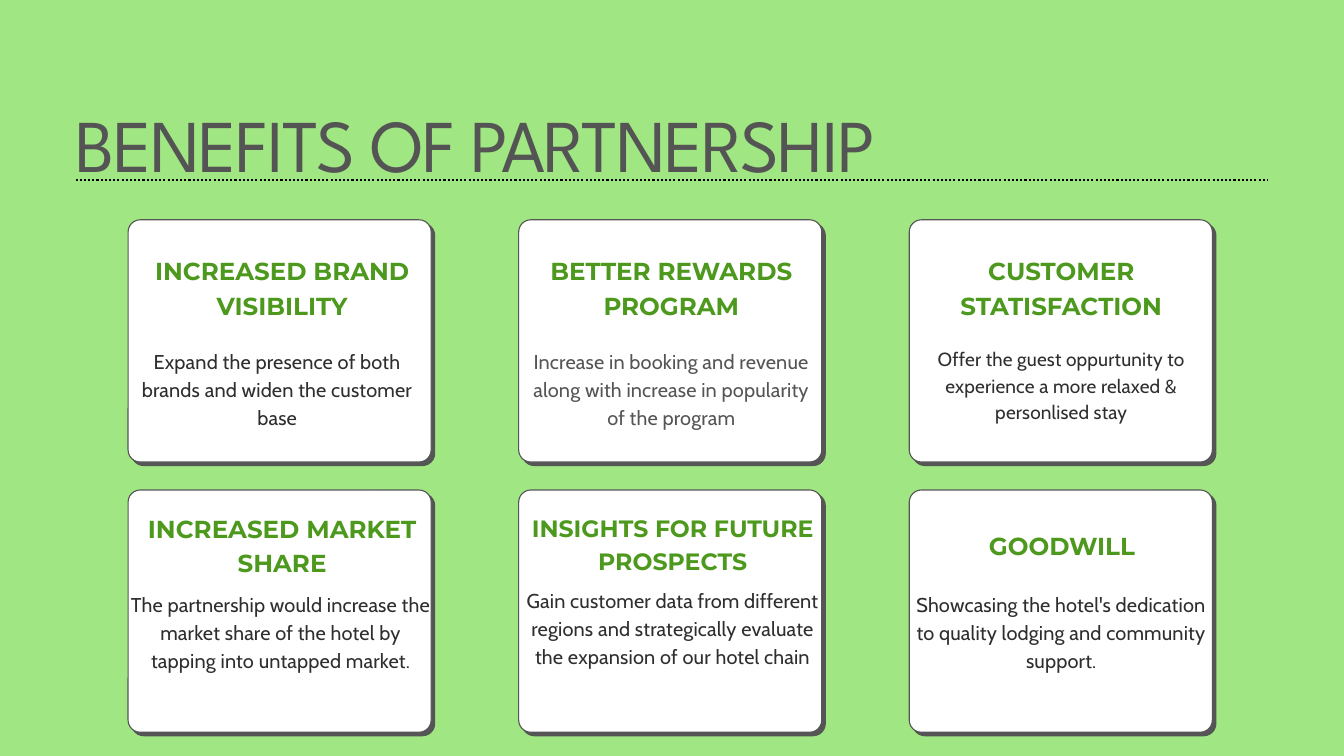
from lxml import etree
from pptx import Presentation
from pptx.dml.color import RGBColor
from pptx.enum.dml import MSO_LINE
from pptx.enum.shapes import MSO_CONNECTOR, MSO_SHAPE
from pptx.enum.text import MSO_AUTO_SIZE, PP_ALIGN
from pptx.oxml.ns import qn
from pptx.util import Pt

PX = 9525
LEFT, CENTER = PP_ALIGN.LEFT, PP_ALIGN.CENTER
ROUND = MSO_SHAPE.ROUNDED_RECTANGLE
COLORS = {
    "back": "A0E683", "card": "FFFFFF", "edge": "555555", "rule": "000000",
    "title": "545454", "head": "4D991D", "dark": "2E2E2E", "gray": "555555",
}


def color(name):
    return RGBColor.from_string(COLORS[name])


def add_text(text, box, size, lead, face, tint, align=CENTER, bold=False, gap=0):
    """Add a text box; lead is the line pitch in points, gap the letter spacing in 1/100 pt."""
    shape = slide.shapes.add_textbox(*(n * PX for n in box))
    frame = shape.text_frame
    frame.word_wrap = True
    frame.auto_size = MSO_AUTO_SIZE.SHAPE_TO_FIT_TEXT
    frame.margin_left = frame.margin_right = 0
    frame.margin_top = frame.margin_bottom = 0
    para = frame.paragraphs[0]
    para.alignment = align
    para.line_spacing = Pt(lead)
    run = para.add_run()
    run.text = text
    if gap:
        run._r.get_or_add_rPr().set("spc", str(gap))
    font = para.font
    font.name, font.size, font.bold = face, Pt(size), bold
    font.color.rgb = color(tint)


deck = Presentation()
deck.slide_width, deck.slide_height = 1920 * PX, 1080 * PX
slide = deck.slides.add_slide(deck.slide_layouts[6])
slide.background.fill.solid()
slide.background.fill.fore_color.rgb = color("back")

# Title and dotted rule
add_text("BENEFITS OF PARTNERSHIP", (108, 150, 1460, 120), 79.8, 87.8,
         "League Spartan", "title", LEFT, gap=-200)
rule = slide.shapes.add_connector(
    MSO_CONNECTOR.STRAIGHT, 108 * PX, 257 * PX, 1812 * PX, 257 * PX)
rule.line.color.rgb = color("rule")
rule.line.width = Pt(2.25)
rule.line.dash_style = MSO_LINE.ROUND_DOT
etree.SubElement(rule._element.spPr, qn("a:effectLst"))

# Heading: text, left, top, size, lead
# Body: text, left, top, width, size, lead, colour
CARDS = [
    (("INCREASED BRAND VISIBILITY", 184, 359, 26.3, 36.8),
     ("Expand the presence of both brands and widen the customer base",
      184, 493, 424, 21.4, 30, "dark")),
    (("BETTER REWARDS PROGRAM", 740, 359, 26.3, 36.8),
     ("Increase in booking and revenue along with increase in popularity "
      "of the program", 751, 493, 416, 21.4, 30, "gray")),
    (("CUSTOMER STATISFACTION", 1297, 359, 26.3, 36.8),
     ("Offer the guest oppurtunity to experience a more relaxed & "
      "personlised stay", 1297, 491, 438, 20.4, 28.6, "dark")),
    (("INCREASED MARKET SHARE", 184, 727, 26.3, 36.8),
     ("The partnership would increase the market share of the hotel by "
      "tapping into untapped market.", 182, 841, 438, 21.4, 30, "dark")),
    (("INSIGHTS FOR FUTURE PROSPECTS", 742, 728, 25.3, 35.4),
     ("Gain customer data from different regions and strategically evaluate "
      "the expansion of our hotel chain", 742, 835, 438, 21.4, 30, "dark")),
    (("GOODWILL", 1298, 751, 26.3, 36.8),
     ("Showcasing the hotel's dedication to quality lodging and community "
      "support.", 1297, 841, 438, 21.4, 30, "dark")),
]

for i, (head, body) in enumerate(CARDS):
    row, col = divmod(i, 3)
    x, y = 183 + 558 * col, 314 + 386 * row
    for shift, fill in ((5, "edge"), (0, "card")):
        card = slide.shapes.add_shape(
            ROUND, (x + shift) * PX, (y + shift) * PX, 433 * PX, 346 * PX)
        card.adjustments[0] = 0.05
        card.shadow.inherit = False
        card.fill.solid()
        card.fill.fore_color.rgb = color(fill)
        card.line.color.rgb = color("edge")
        card.line.width = Pt(1.2)

    text, left, top, size, lead = head
    tall = 46 if text == "GOODWILL" else 94
    add_text(text, (left, top, 438, tall), size, lead, "Montserrat", "head", bold=True)
    text, left, top, wide, size, lead, tint = body
    add_text(text, (left, top, wide, 115), size, lead, "Cabin", tint, gap=20)

deck.save("out.pptx")
